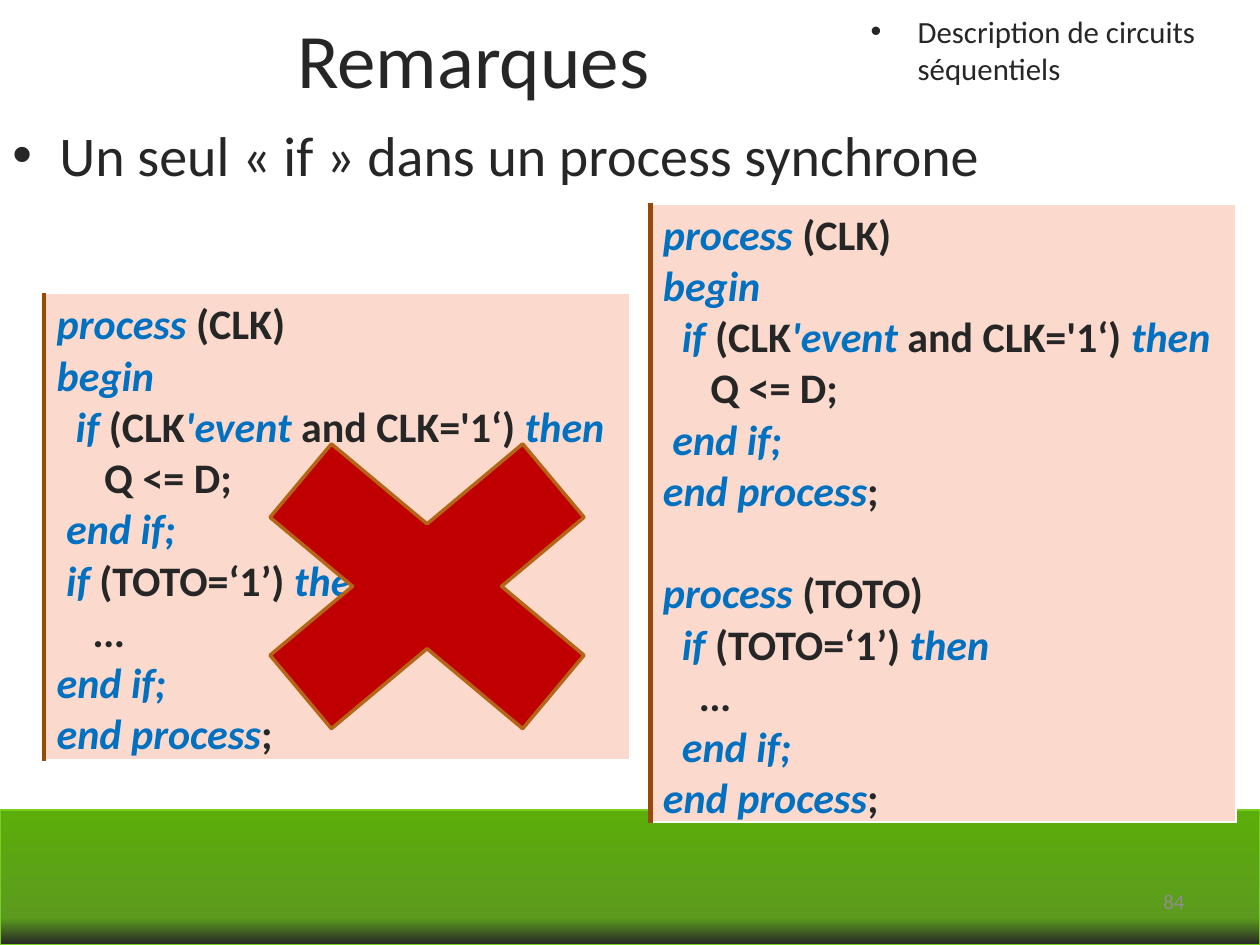
from lxml.etree import SubElement as Sub
from pptx import Presentation
from pptx.dml.color import RGBColor as RGB
from pptx.enum.shapes import MSO_SHAPE as Shape
from pptx.enum.text import MSO_ANCHOR as Anchor, MSO_AUTO_SIZE as Auto, PP_ALIGN as Align
from pptx.oxml.ns import qn
from pptx.util import Cm, Pt

HUES = {
    "ink": "262626", "key": "0070C0", "cell": "FBDACD", "edge": "984807",
    "white": "FFFFFF", "cross": "C00000", "rim": "B56516",
    "band": "78CF22", "page": "8E8E8E",
}
STOPS = [(0, "5CAD0A"), (80, "5C9B1D"), (100, "262626")]

TITLE = "Remarques"
BULLETS = [  # text, size, box in cm
    ("Un seul « if » dans un process synchrone", 32, (0, 2.31, 24, 14.4)),
    ("Description de circuits séquentiels", 17.6, (17.3, 0.13, 8.1, 1.52)),
]

# Keywords stand between asterisks.
CLOCK = [
    "*process* (CLK)",
    "*begin*",
    "*  if *(CLK*'event *and CLK='1‘) *then*",
    "     Q <= D;",
    "* end if;*",
]
END = "*end process*;"
WRONG = [CLOCK + ["* if *(TOTO=‘1’) *then*", "    …", "*end if;*", END]]
RIGHT = [
    CLOCK + [END],
    ["*process* (TOTO)", "*  if *(TOTO=‘1’) *then*", "    …", "*  end if;*", END],
]
CODES = [(WRONG, (0.89, 5.92, 11.81, 9.4)), (RIGHT, (13.11, 4.11, 11.81, 12.45))]
CODE_SIZE, CODE_GAP = 24, 29.3
EDGES = [("lnL", "edge", 3), ("lnR", "white", 1), ("lnT", "white", 1), ("lnB", "white", 1)]


def hue(name):
    return RGB.from_string(HUES[name])


def style(font, color="ink", **form):
    for key, val in {"name": "Calibri", **form}.items():
        setattr(font, key, val)
    font.color.rgb = hue(color)


def add_shape(slide, kind, box, line, width):
    shape = slide.shapes.add_shape(kind, *map(Cm, box))
    shape.shadow.inherit = False
    shape.line.color.rgb = hue(line)
    shape.line.width = Pt(width)
    return shape


def add_text(slide, text, box, **form):
    frame = slide.shapes.add_textbox(*map(Cm, box)).text_frame
    frame.word_wrap = True
    para = frame.paragraphs[0]
    run = para.add_run()
    run.text = text
    style(run.font, **form)
    return frame, para


def add_bullet(slide, text, size, box):
    _, para = add_text(slide, text, box, size=Pt(size))
    props = para._p.get_or_add_pPr()
    props.set("marL", str(Cm(0.95)))
    props.set("indent", str(-Cm(0.95)))
    Sub(props, qn("a:buFont"), typeface="Arial")
    Sub(props, qn("a:buChar"), char="•")


def add_band(slide):
    band = add_shape(slide, Shape.RECTANGLE, (0, 16.33, 25.4, 2.72), "band", 0.75)
    band.fill.gradient()
    band.fill.gradient_angle = 270
    stops = band._element.spPr.find(qn("a:gradFill")).find(qn("a:gsLst"))
    for old in list(stops):
        stops.remove(old)
    for pos, color in STOPS:
        stop = Sub(stops, qn("a:gs"), pos=str(pos * 1000))
        Sub(stop, qn("a:srgbClr"), val=color)


def add_line(para, line):
    """Write one line of code, with every second part as a keyword."""
    for i, part in enumerate(line.split("*")):
        if part:
            run = para.add_run()
            run.text = part
            key = i % 2 == 1
            style(run.font, "key" if key else "ink", size=Pt(CODE_SIZE),
                  bold=True, italic=key or "…" in part)


def add_code(slide, blocks, box):
    table = slide.shapes.add_table(1, 1, *map(Cm, box)).table
    table.first_row = table.horz_banding = False
    cell = table.cell(0, 0)
    props = cell._tc.get_or_add_tcPr()
    for tag, color, width in EDGES:
        edge = Sub(props, qn("a:" + tag), w=str(Pt(width)))
        Sub(Sub(edge, qn("a:solidFill")), qn("a:srgbClr"), val=HUES[color])
    cell.fill.solid()
    cell.fill.fore_color.rgb = hue("cell")
    frame = cell.text_frame
    for b, block in enumerate(blocks):
        for n, line in enumerate(block):
            para = frame.add_paragraph() if b or n else frame.paragraphs[0]
            if b and not n:
                para.space_before = Pt(CODE_GAP)
            add_line(para, line)


def set_title(slide):
    title = slide.shapes.title
    title.left, title.top, title.width, title.height = map(Cm, (0, 0, 19.43, 2.34))
    frame = title.text_frame
    form = {"text": TITLE, "auto_size": Auto.NONE, "word_wrap": True,
            "vertical_anchor": Anchor.MIDDLE, "margin_right": Cm(0.6)}
    for key, val in form.items():
        setattr(frame, key, val)
    para = frame.paragraphs[0]
    para.alignment = Align.CENTER
    style(para.runs[0].font, size=Pt(44))


def main():
    deck = Presentation()
    deck.slide_width, deck.slide_height = Cm(25.4), Cm(19.05)
    slide = deck.slides.add_slide(deck.slide_layouts[5])
    set_title(slide)
    add_band(slide)
    frame, para = add_text(slide, "84", (18.21, 17.65, 5.92, 1.02),
                           color="page", size=Pt(12))
    frame.vertical_anchor = Anchor.MIDDLE
    para.alignment = Align.RIGHT
    for bullet in BULLETS:
        add_bullet(slide, *bullet)
    for code in CODES:
        add_code(slide, *code)
    cross = add_shape(slide, Shape.MATH_MULTIPLY, (3.71, 7.72, 9.8, 8.2), "rim", 2)
    cross.fill.solid()
    cross.fill.fore_color.rgb = hue("cross")
    deck.save("out.pptx")


if __name__ == "__main__":
    main()
